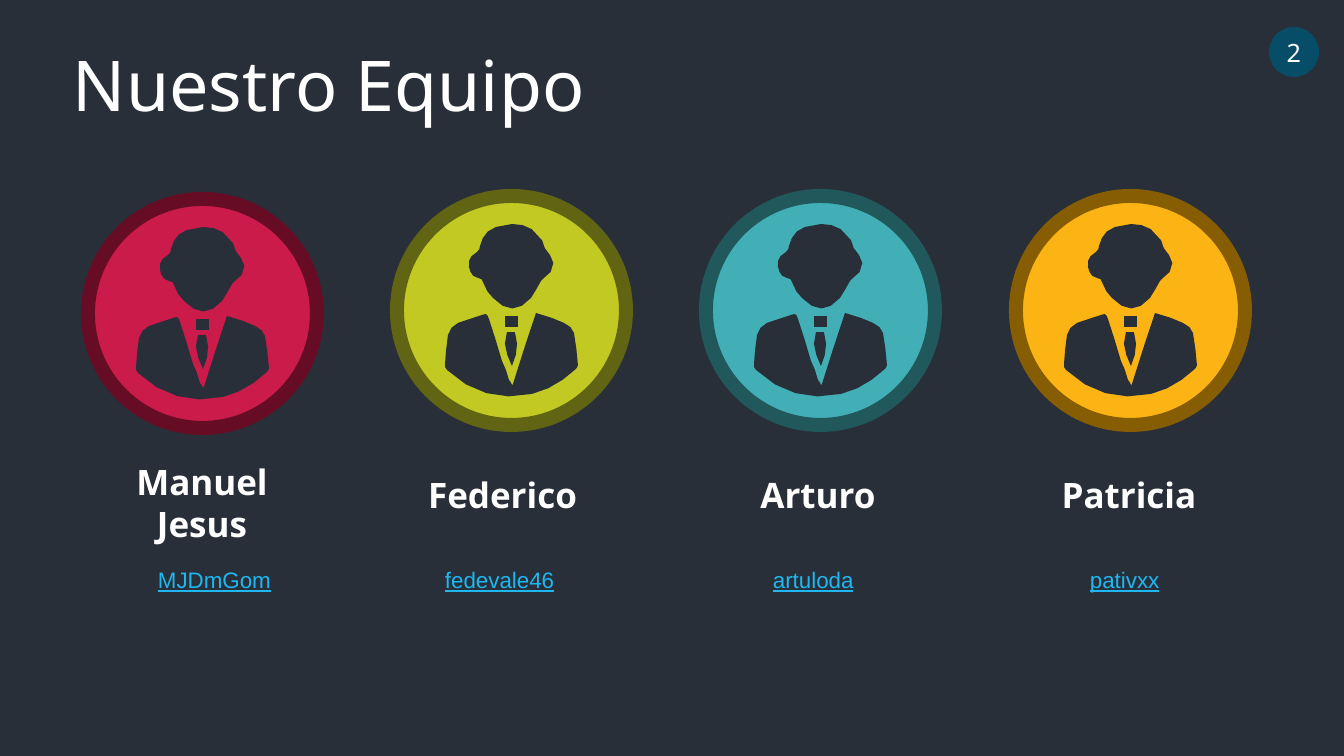
"""Build the team slide with four member badges."""
import math
from dataclasses import dataclass

import pptx
import pptx.dml.color
import pptx.enum.shapes
import pptx.enum.text
import pptx.util

RGBColor = pptx.dml.color.RGBColor
PP_ALIGN = pptx.enum.text.PP_ALIGN
MSO_ANCHOR = pptx.enum.text.MSO_ANCHOR
OVAL = pptx.enum.shapes.MSO_SHAPE.OVAL

DARK = RGBColor(0x28, 0x2F, 0x39)
WHITE = RGBColor(0xFF, 0xFF, 0xFF)
NAVY = RGBColor(0x07, 0x4D, 0x67)
SKY = RGBColor(0x1E, 0xB7, 0xEF)
RED, DARK_RED = RGBColor(0xCB, 0x1B, 0x4A), RGBColor(0x66, 0x0D, 0x25)
LIME, DARK_LIME = RGBColor(0xC2, 0xC9, 0x23), RGBColor(0x61, 0x64, 0x12)
TEAL, DARK_TEAL = RGBColor(0x42, 0xAF, 0xB6), RGBColor(0x21, 0x58, 0x5B)
AMBER, DARK_AMBER = RGBColor(0xFC, 0xB4, 0x14), RGBColor(0x86, 0x5D, 0x02)

EMU_PER_PX = 914400 / 100.8
DISC = 229

Point = tuple[float, float]
Box = tuple[int, int, int, int]

JACKET = [
    (2, 74), (9, 51), (17, 27), (25, 3), (31, 5), (35, 6), (41, 8),
    (45, 10), (49, 11), (53, 13), (58, 15), (62, 19), (63, 23),
    (65, 33), (66, 44), (67, 55), (67, 56), (66, 58), (65, 59),
    (52, 71), (38, 80), (21, 84), (-11, 91), (-40, 83), (-64, 60),
    (-65, 59), (-67, 56), (-66, 54), (-66, 45), (-64, 35), (-63, 25),
    (-62, 20), (-58, 15), (-53, 13), (-48, 11), (-43, 10), (-38, 8),
    (-35, 7), (-32, 6), (-29, 5), (-24, 3), (-24, 4), (-22, 9),
    (-18, 22), (-13, 36), (-9, 51), (-6, 56), (-4, 63), (-2, 70),
    (0, 72), (0, 73), (1, 75), (1, 75), (2, 75), (2, 74),
]
HEAD = [
    (1, -86), (12, -86), (22, -83), (28, -73), (29, -72), (30, -71), (31, -70),
    (33, -64), (34, -59), (39, -55), (46, -49), (41, -35), (33, -32),
    (32, -31), (31, -30), (30, -29), (26, -23), (24, -17), (20, -12),
    (8, 2), (-5, 2), (-18, -12), (-22, -16), (-26, -21), (-28, -28),
    (-28, -30), (-30, -32), (-33, -32), (-39, -33), (-41, -38), (-42, -43),
    (-43, -50), (-41, -54), (-34, -58), (-32, -59), (-31, -62), (-31, -64),
    (-29, -72), (-25, -80), (-15, -83), (-9, -84), (-4, -85), (1, -86),
]
TIE = [
    (-4, 22), (-2, 22), (1, 22), (4, 22), (8, 34), (6, 45), (1, 56),
    (-4, 45), (-9, 34), (-4, 22),
]
KNOT = [
    (7, 6), (7, 10), (7, 13), (7, 17), (3, 17), (-2, 17), (-6, 17),
    (-6, 13), (-6, 10), (-6, 6), (-2, 6), (3, 6), (7, 6),
]


@dataclass(frozen=True)
class Member:
    name: str
    handle: str
    fill: RGBColor
    rim: RGBColor
    disc: tuple[int, int]
    name_box: Box
    handle_box: Box


MEMBERS = [
    Member("Manuel Jesus", "MJDmGom", RED, DARK_RED, (88, 199),
           (96, 456, 212, 95), (148, 561, 146, 37)),
    Member("Federico", "fedevale46", LIME, DARK_LIME, (397, 196),
           (388, 469, 229, 52), (435, 561, 146, 37)),
    Member("Arturo", "artuloda", TEAL, DARK_TEAL, (706, 196),
           (712, 469, 212, 52), (763, 561, 117, 37)),
    Member("Patricia", "pativxx", AMBER, DARK_AMBER, (1016, 196),
           (1023, 469, 212, 52), (1080, 561, 117, 37)),
]


def px(value: float) -> pptx.util.Emu:
    return pptx.util.Emu(round(value * EMU_PER_PX))


def write(sp, text: str, *, size: int, font: str, color: RGBColor = WHITE,
          bold: bool = False, underline: bool = False,
          align: PP_ALIGN = PP_ALIGN.LEFT, anchor: MSO_ANCHOR = MSO_ANCHOR.TOP) -> None:
    tf = sp.text_frame
    tf.word_wrap = True
    tf.vertical_anchor = anchor
    p = tf.paragraphs[0]
    p.alignment = align
    r = p.add_run()
    r.text = text
    r.font.size = pptx.util.Pt(size)
    r.font.name = font
    r.font.color.rgb = color
    r.font.bold = bold
    r.font.underline = underline


def add_text(s, box: Box, text: str, **style) -> None:
    sp = s.shapes.add_textbox(*map(px, box))
    write(sp, text, **style)
    sp.text_frame.auto_size = pptx.enum.text.MSO_AUTO_SIZE.SHAPE_TO_FIT_TEXT


def add_disc(s, box: Box, fill: RGBColor, rim: RGBColor | None = None):
    sp = s.shapes.add_shape(OVAL, *map(px, box))
    sp.shadow.inherit = False
    sp.fill.solid()
    sp.fill.fore_color.rgb = fill
    if rim is None:
        sp.line.fill.background()
    else:
        sp.line.color.rgb = rim
        sp.line.width = pptx.util.Pt(10)
    return sp


def bezier(controls: list[Point], t: float) -> Point:
    weights = ((1 - t) ** 3, 3 * t * (1 - t) ** 2, 3 * t * t * (1 - t), t ** 3)
    x, y = (sum(w * c for w, c in zip(weights, axis)) for axis in zip(*controls))
    return x, y


def sample(curve: list[Point]) -> list[Point]:
    points = [curve[0]]
    for i in range(0, len(curve) - 1, 3):
        controls = curve[i:i + 4]
        (x0, y0), (x1, y1) = controls[0], controls[-1]
        bulge = math.dist(bezier(controls, 0.5), ((x0 + x1) / 2, (y0 + y1) / 2))
        steps = 1 + round(math.sqrt(bulge))
        points += [bezier(controls, step / steps) for step in range(1, steps + 1)]
    return points[:-1]


def add_person(s, cx: int, cy: int) -> None:
    group = s.shapes.add_group_shape()
    for curve in (JACKET, HEAD, TIE, KNOT):
        points = [(px(cx + x), px(cy + y)) for x, y in sample(curve)]
        builder = group.shapes.build_freeform(*points[0], scale=1.0)
        builder.add_line_segments(points[1:], close=True)
        sp = builder.convert_to_shape()
        sp.shadow.inherit = False
        sp.fill.solid()
        sp.fill.fore_color.rgb = DARK
        sp.line.fill.background()


def add_member(s, member: Member) -> None:
    left, top = member.disc
    add_disc(s, (left, top, DISC, DISC), member.fill, member.rim)
    add_person(s, left + DISC // 2, top + DISC // 2)
    add_text(s, member.name_box, member.name, size=25, font="Open Sans",
             bold=True, align=PP_ALIGN.CENTER)
    add_text(s, member.handle_box, member.handle, size=16, font="Arial",
             color=SKY, underline=True, anchor=MSO_ANCHOR.MIDDLE)


prs = pptx.Presentation()
prs.slide_width, prs.slide_height = px(1344), px(756)
s = prs.slides.add_slide(prs.slide_layouts[6])
s.background.fill.solid()
s.background.fill.fore_color.rgb = DARK

page_badge = add_disc(s, (1269, 27, 50, 50), NAVY)
write(page_badge, "2", size=18, font="Noto Sans",
      align=PP_ALIGN.CENTER, anchor=MSO_ANCHOR.MIDDLE)
add_text(s, (63, 37, 1186, 95), "Nuestro Equipo", size=50, font="Noto Sans")
for member in MEMBERS:
    add_member(s, member)

prs.save("out.pptx")
